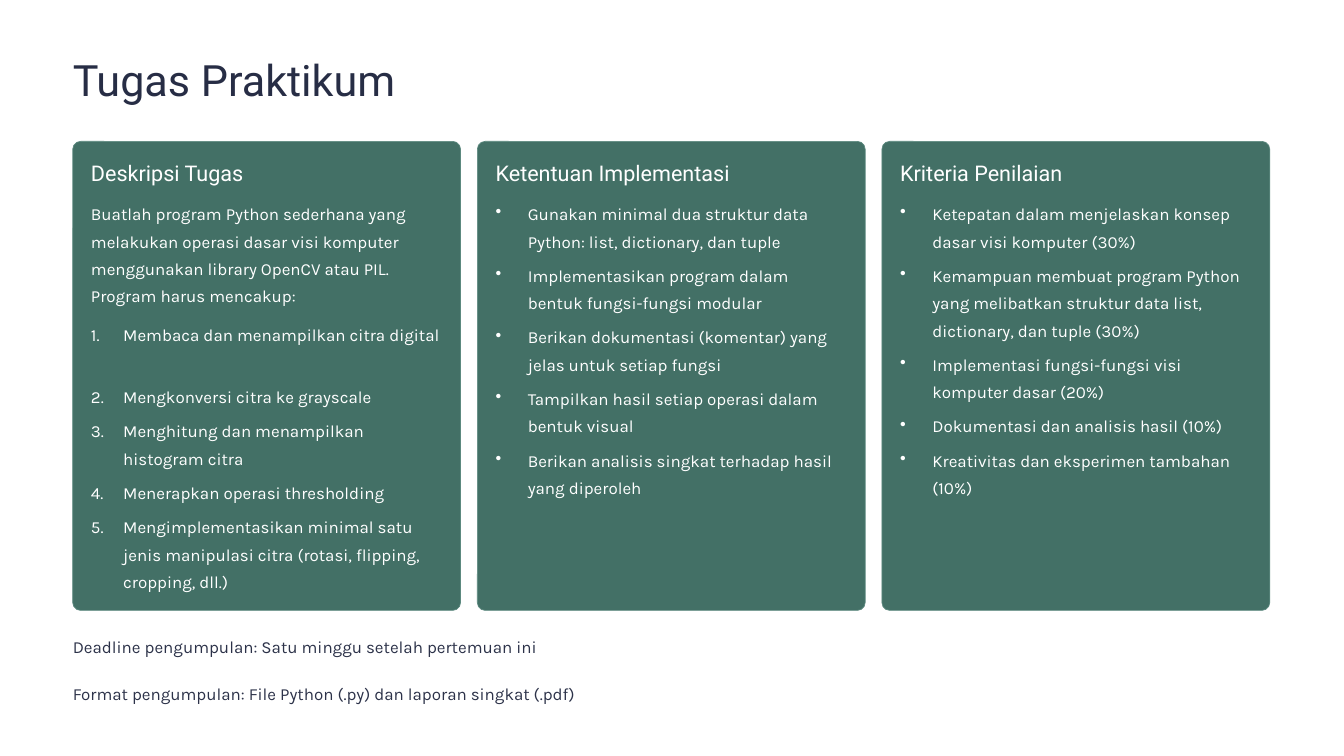
import pptx
import pptx.util
import pptx.dml.color
import pptx.enum.shapes
import lxml.etree

PX = 7620  # 120 px to the inch
LINE, GAP = 39, 10
LEFT, TOP, WIDE, HIGH, STEP = 104, 202, 554, 670, 578
PAD, INNER, HANG = 26, 502, 46
HUES = {"page": "FFFFFF", "title": "272D45", "card": "437066",
        "edge": "5C897F", "text": "FFFFFF", "foot": "2C3249"}


def rgb(name):
    return pptx.dml.color.RGBColor.from_string(HUES[name])


def write(slide, text, x, y, w, h, hue="text", font="Karla", size=14.5, lead=23.5, mark=None):
    """Add one text box; mark is a bullet sign or the number of a list item."""
    box = slide.shapes.add_textbox(x * PX, y * PX, w * PX, h * PX)
    frame = box.text_frame
    frame.word_wrap = True
    frame.margin_left = frame.margin_right = frame.margin_top = frame.margin_bottom = 0
    frame.text = text
    para = frame.paragraphs[0]
    if mark is not None:
        props = para._p.get_or_add_pPr()
        props.set("marL", str(HANG * PX))
        props.set("indent", str(-HANG * PX))
        kind = "buAutoNum" if isinstance(mark, int) else "buChar"
        sign = lxml.etree.SubElement(props, pptx.oxml.ns.qn("a:" + kind))
        if isinstance(mark, int):
            sign.set("type", "arabicPeriod")
            sign.set("startAt", str(mark))
        else:
            sign.set("char", mark)
    para.line_spacing = pptx.util.Pt(lead)
    run = para.runs[0].font
    run.name, run.size = font, pptx.util.Pt(size)
    run.color.rgb = rgb(hue)


# Each card: heading, intro, then items with the lines each one takes
cards = [
    ("Deskripsi Tugas",
     "Buatlah program Python sederhana yang melakukan operasi dasar visi komputer "
     "menggunakan library OpenCV atau PIL. Program harus mencakup:",
     [("Membaca dan menampilkan citra digital", 2),
      ("Mengkonversi citra ke grayscale", 1),
      ("Menghitung dan menampilkan histogram citra", 2),
      ("Menerapkan operasi thresholding", 1),
      ("Mengimplementasikan minimal satu jenis manipulasi citra "
       "(rotasi, flipping, cropping, dll.)", 3)]),
    ("Ketentuan Implementasi", None,
     [("Gunakan minimal dua struktur data Python: list, dictionary, dan tuple", 2),
      ("Implementasikan program dalam bentuk fungsi-fungsi modular", 2),
      ("Berikan dokumentasi (komentar) yang jelas untuk setiap fungsi", 2),
      ("Tampilkan hasil setiap operasi dalam bentuk visual", 2),
      ("Berikan analisis singkat terhadap hasil yang diperoleh", 2)]),
    ("Kriteria Penilaian", None,
     [("Ketepatan dalam menjelaskan konsep dasar visi komputer (30%)", 2),
      ("Kemampuan membuat program Python yang melibatkan struktur data "
       "list, dictionary, dan tuple (30%)", 3),
      ("Implementasi fungsi-fungsi visi komputer dasar (20%)", 2),
      ("Dokumentasi dan analisis hasil (10%)", 1),
      ("Kreativitas dan eksperimen tambahan (10%)", 2)]),
]
notes = ["Deadline pengumpulan: Satu minggu setelah pertemuan ini",
         "Format pengumpulan: File Python (.py) dan laporan singkat (.pdf)"]

deck = pptx.Presentation()
deck.slide_width, deck.slide_height = 1920 * PX, 1080 * PX
slide = deck.slides.add_slide(deck.slide_layouts[6])
slide.background.fill.solid()
slide.background.fill.fore_color.rgb = rgb("page")

write(slide, "Tugas Praktikum", LEFT, 74, 618, 77, "title", "Roboto", 37, 46)

for col, (head, intro, items) in enumerate(cards):
    x = LEFT + col * STEP
    card = slide.shapes.add_shape(pptx.enum.shapes.MSO_SHAPE.ROUNDED_RECTANGLE,
                                  x * PX, TOP * PX, WIDE * PX, HIGH * PX)
    card.adjustments[0] = 0.02
    card.shadow.inherit = False
    card.fill.solid()
    card.fill.fore_color.rgb = rgb("card")
    card.line.color.rgb = rgb("edge")
    card.line.width = pptx.util.Pt(0.6)

    x += PAD
    write(slide, head, x, 227, INNER, 38, font="Roboto", size=18.5, lead=23)
    y = 281
    if intro:
        write(slide, intro, x, y, INNER, 4 * LINE)
        y += 4 * LINE + 17
    for rank, (text, rows) in enumerate(items, 1):
        write(slide, text, x, y, INNER, rows * LINE, mark=rank if intro else "•")
        y += rows * LINE + GAP

for row, text in enumerate(notes):
    write(slide, text, LEFT, 899 + row * 67, 1711, LINE, "foot")

deck.save("out.pptx")
